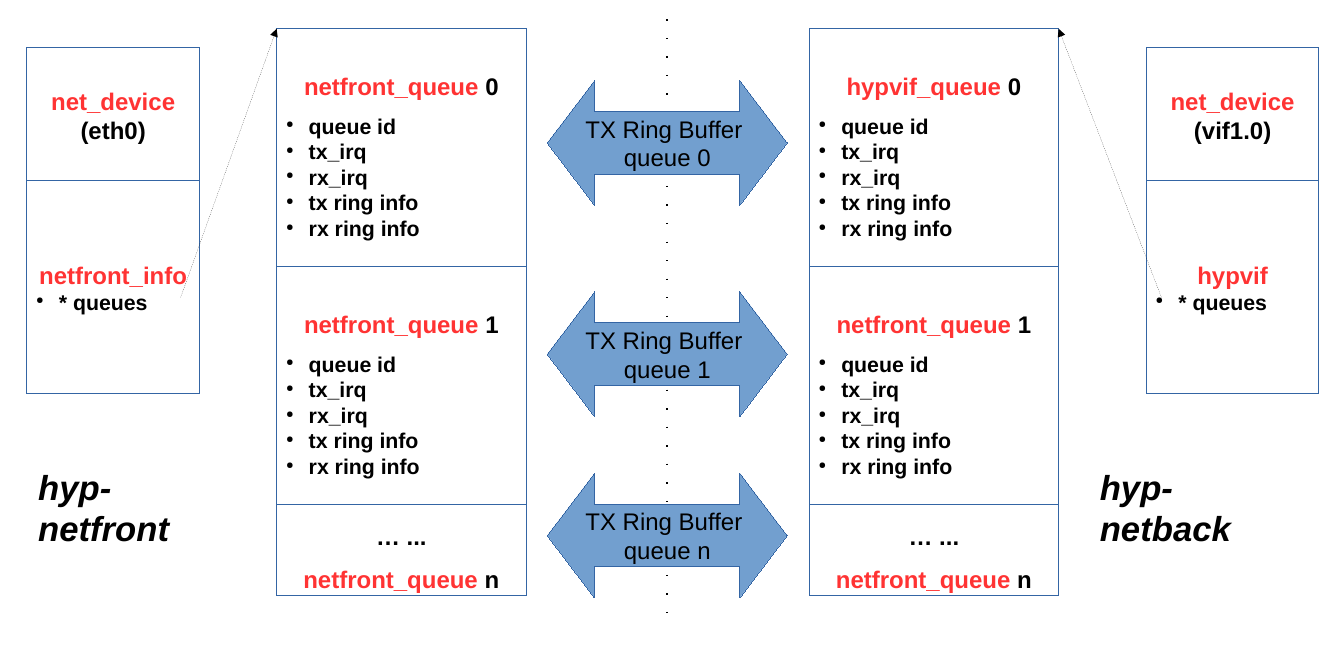
from lxml import etree
from pptx import Presentation
from pptx.dml.color import RGBColor
from pptx.enum.dml import MSO_LINE
from pptx.enum.shapes import MSO_CONNECTOR, MSO_SHAPE
from pptx.enum.text import MSO_ANCHOR, PP_ALIGN
from pptx.oxml.ns import qn
from pptx.util import Cm, Pt

RECT = MSO_SHAPE.RECTANGLE
DOUBLE_ARROW = MSO_SHAPE.LEFT_RIGHT_ARROW
STRAIGHT = MSO_CONNECTOR.STRAIGHT
DOTTED = MSO_LINE.ROUND_DOT
MIDDLE = MSO_ANCHOR.MIDDLE
CENTER, LEFT = PP_ALIGN.CENTER, PP_ALIGN.LEFT

FONT = "Arial"
BLACK, WHITE, RED = "000000", "FFFFFF", "FF3333"
BLUE, OUTLINE = "729FCF", "3465A4"

QUEUE_FIELDS = ["queue id", "tx_irq", "rx_irq", "tx ring info", "rx ring info"]
QUEUE_TOP, QUEUE_PITCH, QUEUE_W, QUEUE_H = 0.76, 6.3, 6.6, 6.35
DEVICE_W = 4.57


def rgb(value):
    return RGBColor.from_string(value)


def add_run(p, text, size, color=BLACK, bold=True, italic=False):
    r = p.add_run()
    r.text = text
    r.font.name = FONT
    r.font.size = Pt(size)
    r.font.bold = bold
    r.font.italic = italic
    r.font.color.rgb = rgb(color)


def next_paragraph(tf):
    first = tf.paragraphs[0]
    return tf.add_paragraph() if first.runs else first


def add_heading(tf, name="", rest="", spacing=1.0, bold=True):
    p = next_paragraph(tf)
    p.alignment = CENTER
    p.line_spacing = spacing
    if name:
        add_run(p, name, 18, RED, bold)
    if rest:
        add_run(p, rest, 18, BLACK, bold)


def add_bullet(tf, text, spacing=1.0):
    p = next_paragraph(tf)
    p.alignment = LEFT
    p.line_spacing = spacing
    pPr = p._p.get_or_add_pPr()
    pPr.set("marL", str(Cm(0.6)))
    pPr.set("indent", str(-Cm(0.6)))
    color = etree.SubElement(pPr, qn("a:buClr"))
    etree.SubElement(color, qn("a:srgbClr"), val=BLACK)
    etree.SubElement(pPr, qn("a:buSzPct"), val="45000")
    etree.SubElement(pPr, qn("a:buChar"), char="●")
    add_run(p, text, 16)


def set_line(shape, color, width):
    shape.line.color.rgb = rgb(color)
    shape.line._get_or_add_ln().set("w", str(Pt(width)))


def add_box(s, kind, x, y, w, h, fill=WHITE):
    sp = s.shapes.add_shape(kind, Cm(x), Cm(y), Cm(w), Cm(h))
    sp.shadow.inherit = False
    sp.fill.solid()
    sp.fill.fore_color.rgb = rgb(fill)
    set_line(sp, OUTLINE, 0)
    sp.text_frame.word_wrap = True
    sp.text_frame.vertical_anchor = MIDDLE
    return sp


def add_line(s, x1, y1, x2, y2, width):
    line = s.shapes.add_connector(STRAIGHT, Cm(x1), Cm(y1), Cm(x2), Cm(y2))
    set_line(line, BLACK, width)
    etree.SubElement(line._element.spPr, qn("a:effectLst"))
    return line


def add_divider(s):
    line = add_line(s, 17.65, 0.51, 17.65, 16.51, 1)
    dash = etree.SubElement(line.line._get_or_add_ln(), qn("a:custDash"))
    etree.SubElement(dash, qn("a:ds"), d="100000", sp="1300000")


def add_pointer(s, x1, y1, x2, y2):
    line = add_line(s, x1, y1, x2, y2, 0)
    line.line.dash_style = DOTTED
    etree.SubElement(line.line._get_or_add_ln(), qn("a:tailEnd"), type="triangle")


def add_device(s, x, device, info):
    tf = add_box(s, RECT, x, 1.27, DEVICE_W, 3.56).text_frame
    add_heading(tf, "net_device")
    add_heading(tf, rest=device)
    tf = add_box(s, RECT, x, 4.78, DEVICE_W, 5.64).text_frame
    add_heading(tf, info)
    add_bullet(tf, "* queues")


def add_queues(s, x, names):
    for i, name in enumerate(names):
        y = QUEUE_TOP + i * QUEUE_PITCH
        tf = add_box(s, RECT, x, y, QUEUE_W, QUEUE_H).text_frame
        add_heading(tf, name, f" {i}", 1.5)
        for j, field in enumerate(QUEUE_FIELDS):
            add_bullet(tf, field, 1.0 if j else 1.5)
    y = QUEUE_TOP + len(names) * QUEUE_PITCH
    tf = add_box(s, RECT, x, y, QUEUE_W, 2.39).text_frame
    add_heading(tf, rest="… ...", spacing=1.5)
    add_heading(tf, "netfront_queue", " n", 1.5)


def add_ring(s, y, queue):
    sp = add_box(s, DOUBLE_ARROW, 14.48, y, 6.35, 3.3, BLUE)
    sp.adjustments[0] = 0.5
    sp.adjustments[1] = 0.38
    add_heading(sp.text_frame, rest="TX Ring Buffer ", bold=False)
    add_heading(sp.text_frame, rest=f"queue {queue}", bold=False)


def add_driver_name(s, x, text):
    tf = s.shapes.add_textbox(Cm(x), Cm(12.19), Cm(5.87), Cm(1.27)).text_frame
    tf.word_wrap = False
    add_run(tf.paragraphs[0], text, 26, italic=True)


def main():
    prs = Presentation()
    prs.slide_width, prs.slide_height = Cm(35.56), Cm(17.78)
    s = prs.slides.add_slide(prs.slide_layouts[6])

    add_divider(s)
    add_device(s, 0.71, "(eth0)", "netfront_info")
    add_queues(s, 7.32, ["netfront_queue", "netfront_queue"])
    add_pointer(s, 4.78, 7.87, 7.32, QUEUE_TOP)
    add_device(s, 30.33, "(vif1.0)", "hypvif")
    add_queues(s, 21.41, ["hypvif_queue", "netfront_queue"])
    add_pointer(s, 30.73, 7.87, 21.41 + QUEUE_W, QUEUE_TOP)
    for y, queue in [(2.13, "0"), (7.72, "1"), (12.52, "n")]:
        add_ring(s, y, queue)
    add_driver_name(s, 0.76, "hyp-netfront")
    add_driver_name(s, 28.85, "hyp-netback")

    prs.save("out.pptx")


if __name__ == "__main__":
    main()
